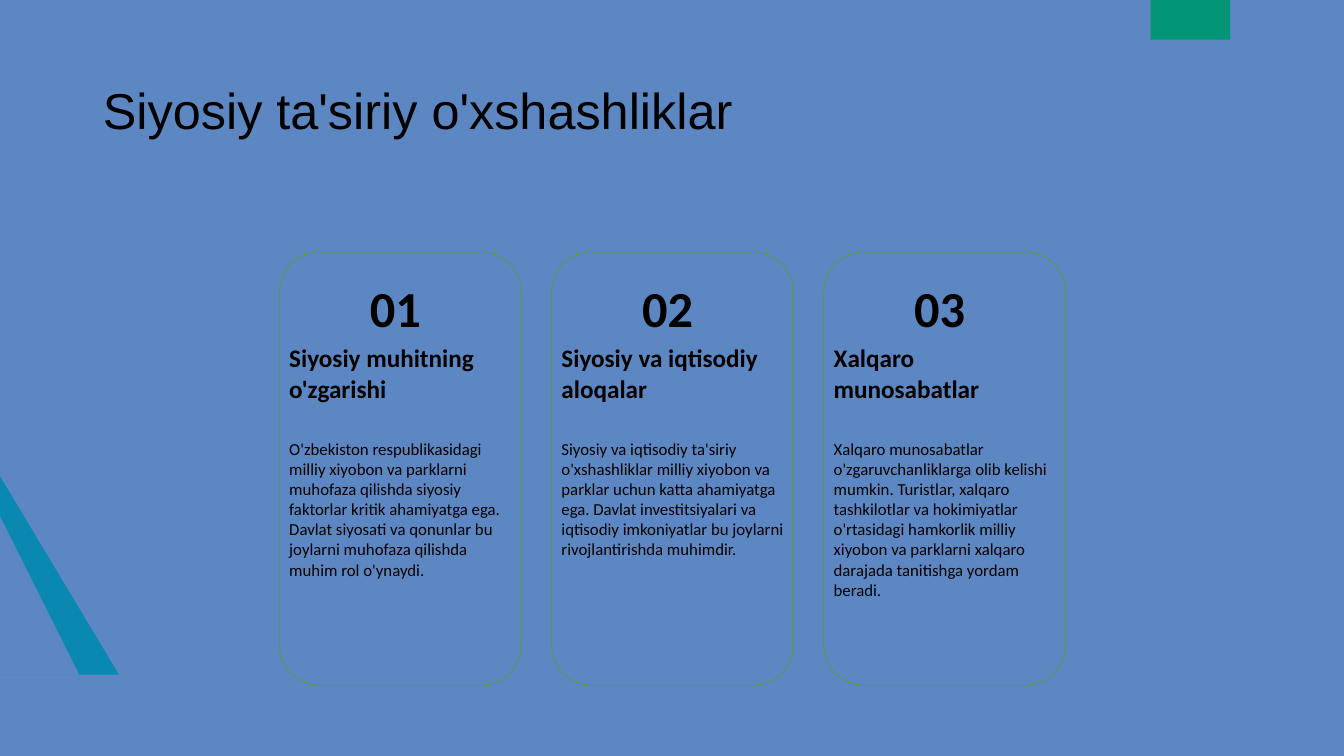
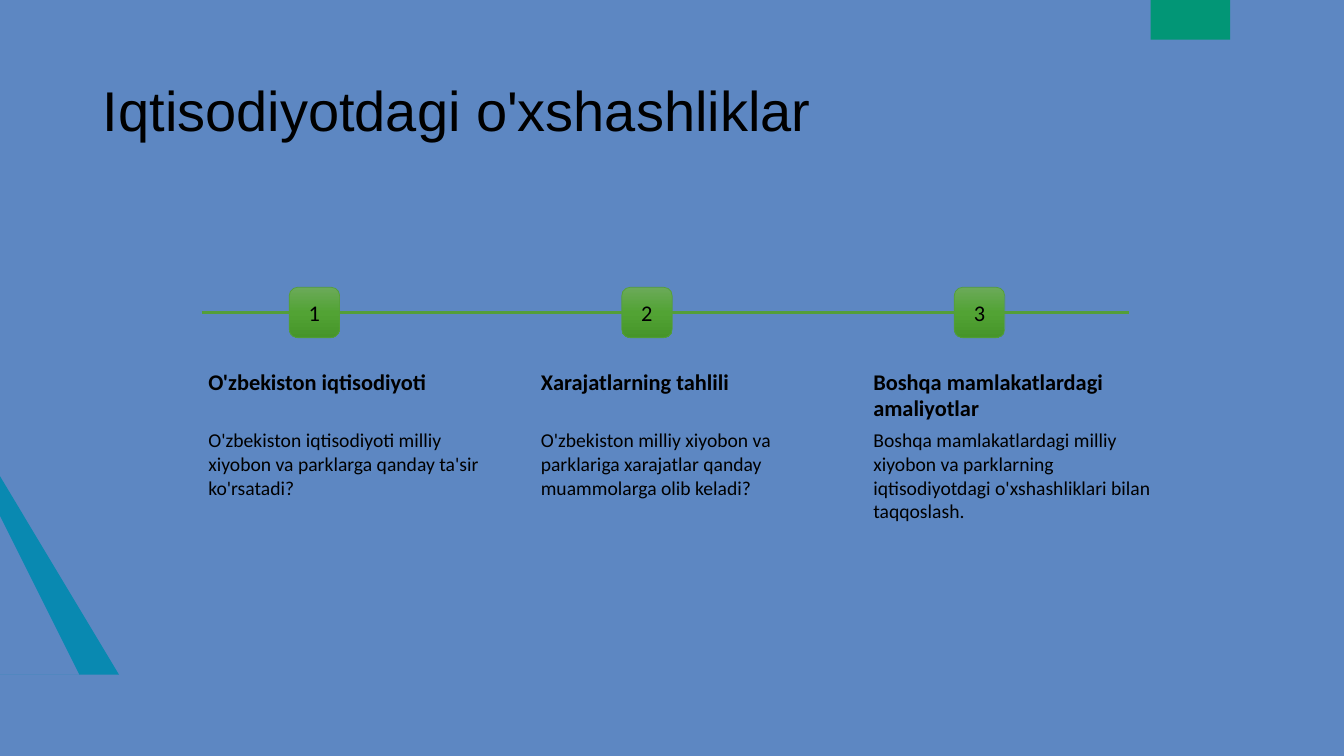
from copy import deepcopy
from dataclasses import dataclass
from math import cos, radians, sin

from pptx import Presentation
from pptx.dml.color import RGBColor
from pptx.enum.shapes import MSO_CONNECTOR, MSO_SHAPE
from pptx.enum.text import MSO_ANCHOR, MSO_AUTO_SIZE, PP_ALIGN
from pptx.oxml import parse_xml
from pptx.oxml.ns import nsdecls, qn
from pptx.util import Cm, Pt


def color(code):
    return RGBColor.from_string(code)


@dataclass(frozen=True)
class Theme:
    back: RGBColor = color("5D87C2")
    ink: RGBColor = color("000000")
    green: RGBColor = color("549E39")
    teal: RGBColor = color("0989B1")
    jade: RGBColor = color("029676")
    shades: tuple = (color("6BAA59"), color("52A334"), color("46952A"))
    head: str = "Arial"
    body: str = "Calibri"
    large: int = 36
    label: int = 18
    small: int = 12
    step: int = 16
    note: int = 14


THEME = Theme()

CARDS = [
    ("Siyosiy muhitning o'zgarishi",
     "O'zbekiston respublikasidagi milliy xiyobon va parklarni muhofaza qilishda "
     "siyosiy faktorlar kritik ahamiyatga ega. Davlat siyosati va qonunlar bu "
     "joylarni muhofaza qilishda muhim rol o'ynaydi."),
    ("Siyosiy va iqtisodiy aloqalar",
     "Siyosiy va iqtisodiy ta'siriy o'xshashliklar milliy xiyobon va parklar uchun "
     "katta ahamiyatga ega. Davlat investitsiyalari va iqtisodiy imkoniyatlar bu "
     "joylarni rivojlantirishda muhimdir."),
    ("Xalqaro munosabatlar",
     "Xalqaro munosabatlar o'zgaruvchanliklarga olib kelishi mumkin. Turistlar, "
     "xalqaro tashkilotlar va hokimiyatlar o'rtasidagi hamkorlik milliy xiyobon va "
     "parklarni xalqaro darajada tanitishga yordam beradi."),
]

STEPS = [
    ("O'zbekiston iqtisodiyoti",
     "O'zbekiston iqtisodiyoti milliy xiyobon va parklarga qanday ta'sir ko'rsatadi?"),
    ("Xarajatlarning tahlili",
     "O'zbekiston milliy xiyobon va parklariga xarajatlar qanday muammolarga olib keladi?"),
    ("Boshqa mamlakatlardagi amaliyotlar",
     "Boshqa mamlakatlardagi milliy xiyobon va parklarning iqtisodiyotdagi "
     "o'xshashliklari bilan taqqoslash."),
]


def write(frame, text, size, bold=False, font=THEME.body, anchor=MSO_ANCHOR.TOP,
          fit=MSO_AUTO_SIZE.NONE, space=None):
    frame.word_wrap = True
    frame.auto_size = fit
    frame.vertical_anchor = anchor
    para = frame.paragraphs[0]
    para.alignment = PP_ALIGN.LEFT
    if space:
        para.line_spacing = space
    run = para.add_run()
    run.text = text
    run.font.size = Pt(size)
    run.font.bold = bold
    run.font.name = font
    run.font.color.rgb = THEME.ink


def label(slide, box, text, size, bold=False):
    """Add a text box that grows with its text; box is in centimetres."""
    area = slide.shapes.add_textbox(*map(Cm, box))
    write(area.text_frame, text, size, bold, fit=MSO_AUTO_SIZE.SHAPE_TO_FIT_TEXT)


def panel(slide, box):
    """Add a rounded rectangle with a thin green outline and no fill."""
    shape = slide.shapes.add_shape(MSO_SHAPE.ROUNDED_RECTANGLE, *map(Cm, box))
    shape.shadow.inherit = False
    shape.fill.background()
    shape.line.color.rgb = THEME.green
    shape.line.width = Pt(0.5)
    return shape


def shade(shape):
    """Fill a shape with the three green shades, from top to bottom."""
    shape.fill.gradient()
    shape.fill.gradient_angle = 270
    stops = shape.element.find(".//" + qn("a:gsLst"))
    stops.insert(1, deepcopy(stops[0]))
    for i, stop in enumerate(shape.fill.gradient_stops):
        stop.position = i / 2
        stop.color.rgb = THEME.shades[i]


def arc(x, y, radius, start, end, count=24):
    turns = [radians(start + (end - start) * i / count) for i in range(count + 1)]
    return [(x + radius * cos(t), y + radius * sin(t)) for t in turns]


def outline(slide, points, fill):
    first, *rest = points
    pen = slide.shapes.build_freeform(*first, scale=Cm(1))
    pen.add_line_segments(rest, close=True)
    shape = pen.convert_to_shape()
    shape.shadow.inherit = False
    shape.fill.solid()
    shape.fill.fore_color.rgb = fill
    shape.line.fill.background()
    return shape


def adorn(deck, layout):
    """Put background, corner shapes and title place on the shared layout."""
    deck.slide_master.background.fill.solid()
    deck.slide_master.background.fill.fore_color.rgb = THEME.back
    title = layout.placeholders[0]
    title.left, title.top, title.width, title.height = map(Cm, (2.34, 1.02, 29.21, 3.68))


def decor(slide, layout):
    """Draw the corner shapes, then hand them to the layout."""
    edge = [(0, 17.2), (0, 16.84), (2.18, 16.84), (0, 13.06), (0, 12.37)]
    shapes = [
        outline(slide, edge + arc(2.49, 17.02, 0.18, -30, 90), THEME.teal),
        outline(slide, arc(30.34, -0.2, 1.19, 10, 170), THEME.jade),
    ]
    for shape in shapes:
        layout.shapes.element.append(shape.element)


def start(deck, layout, title, size):
    slide = deck.slides.add_slide(layout)
    write(slide.shapes.title.text_frame, title, size, font=THEME.head,
          anchor=MSO_ANCHOR.MIDDLE, space=0.9)
    return slide


def card(slide, box, mark, head, body):
    x, y, w, h = box
    panel(slide, box)
    label(slide, (x + 2.03, y + 0.51, w, 1.73), mark, THEME.large, True)
    label(slide, (x, y + 2.16, w, 1.73), head, THEME.label, True)
    label(slide, (x, y + 4.57, w, 4.2), body, THEME.small)


def cards(slide, box):
    """Fill the box with equal cards, 0.76 cm apart."""
    x, y, w, h = box
    gap = 0.76
    width = (w - gap * (len(CARDS) - 1)) / len(CARDS)
    for i, (head, body) in enumerate(CARDS):
        card(slide, (x + i * (width + gap), y, width, h), f"{i + 1:02}", head, body)


def rail(slide, x, y, w):
    line = slide.shapes.add_connector(
        MSO_CONNECTOR.STRAIGHT, Cm(x), Cm(y), Cm(x + w), Cm(y))
    line.line.color.rgb = THEME.green
    line.line.width = Pt(2)
    line.element.spPr.append(parse_xml(f"<a:effectLst {nsdecls('a')}/>"))


def step(slide, box, mark, head, body):
    x, y, w, h = box
    side = 1.27
    node = panel(slide, (x + 2.29, y, side, side))
    shade(node)
    frame = node.text_frame
    frame.margin_left = Cm(0.43)
    frame.margin_right = frame.margin_top = frame.margin_bottom = 0
    write(frame, mark, THEME.step, anchor=MSO_ANCHOR.MIDDLE)
    label(slide, (x, y + 1.9, w - 0.76, 0.91), head, THEME.step, True)
    label(slide, (x, y + 3.43, w, h - 3.43), body, THEME.note)


def steps(slide, box):
    """Draw a rail with numbered steps spread evenly over the box."""
    x, y, w, h = box
    width = 7.62
    pitch = (w - width) / (len(STEPS) - 1)
    rail(slide, x + 0.08, y + 0.64, 23.37)
    for i, (head, body) in enumerate(STEPS):
        step(slide, (x + i * pitch, y, width, h), str(i + 1), head, body)


def main():
    deck = Presentation()
    deck.slide_width, deck.slide_height = Cm(33.87), Cm(19.05)
    layout = deck.slide_layouts[5]
    adorn(deck, layout)

    slide = start(deck, layout, "Siyosiy ta'siriy o'xshashliklar", 36)
    decor(slide, layout)
    cards(slide, (7.04, 6.35, 19.82, 10.92))

    slide = start(deck, layout, "Iqtisodiyotdagi o'xshashliklar", 40)
    steps(slide, (5, 7.24, 24.38, 5.4))

    deck.save("out.pptx")


if __name__ == "__main__":
    main()
